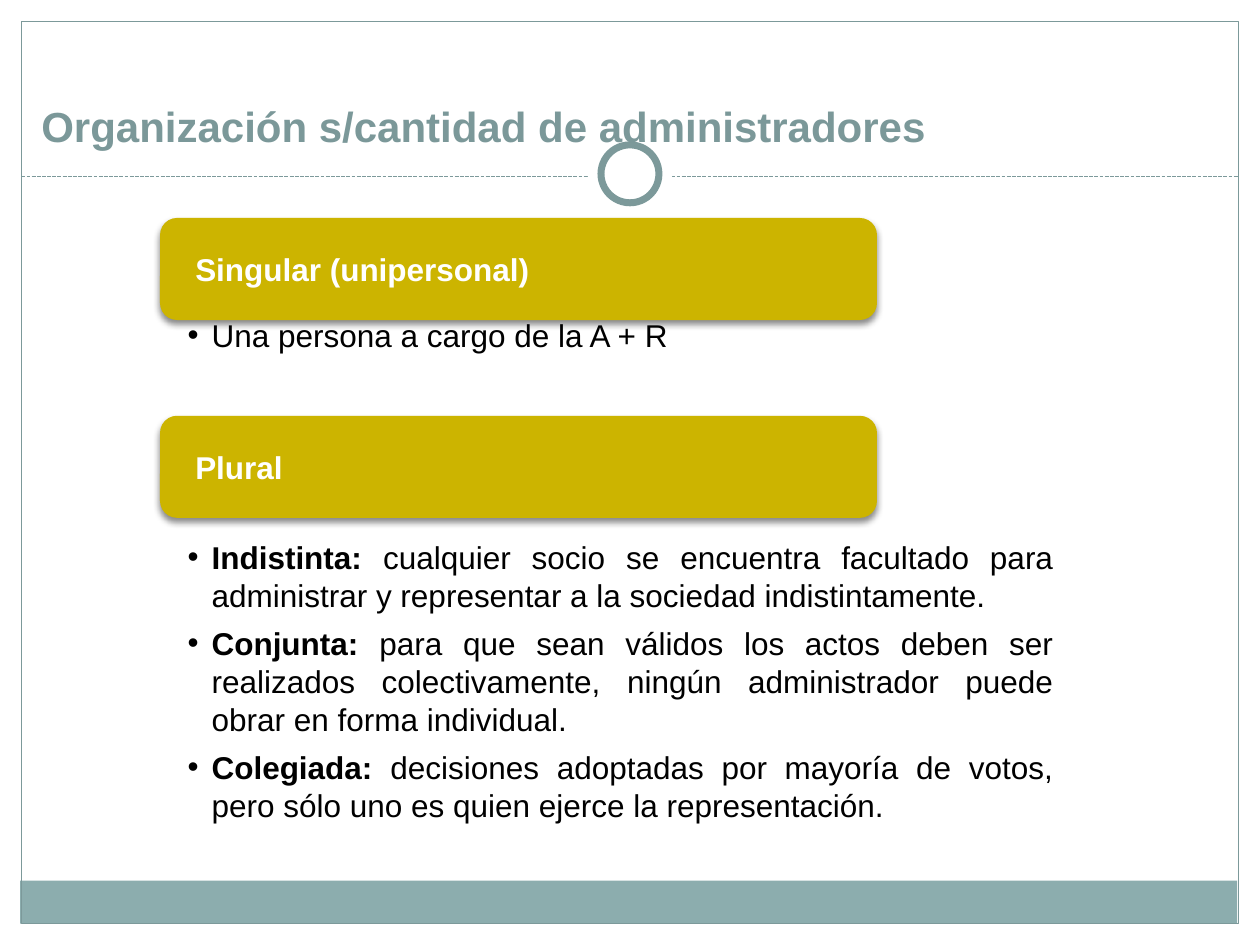
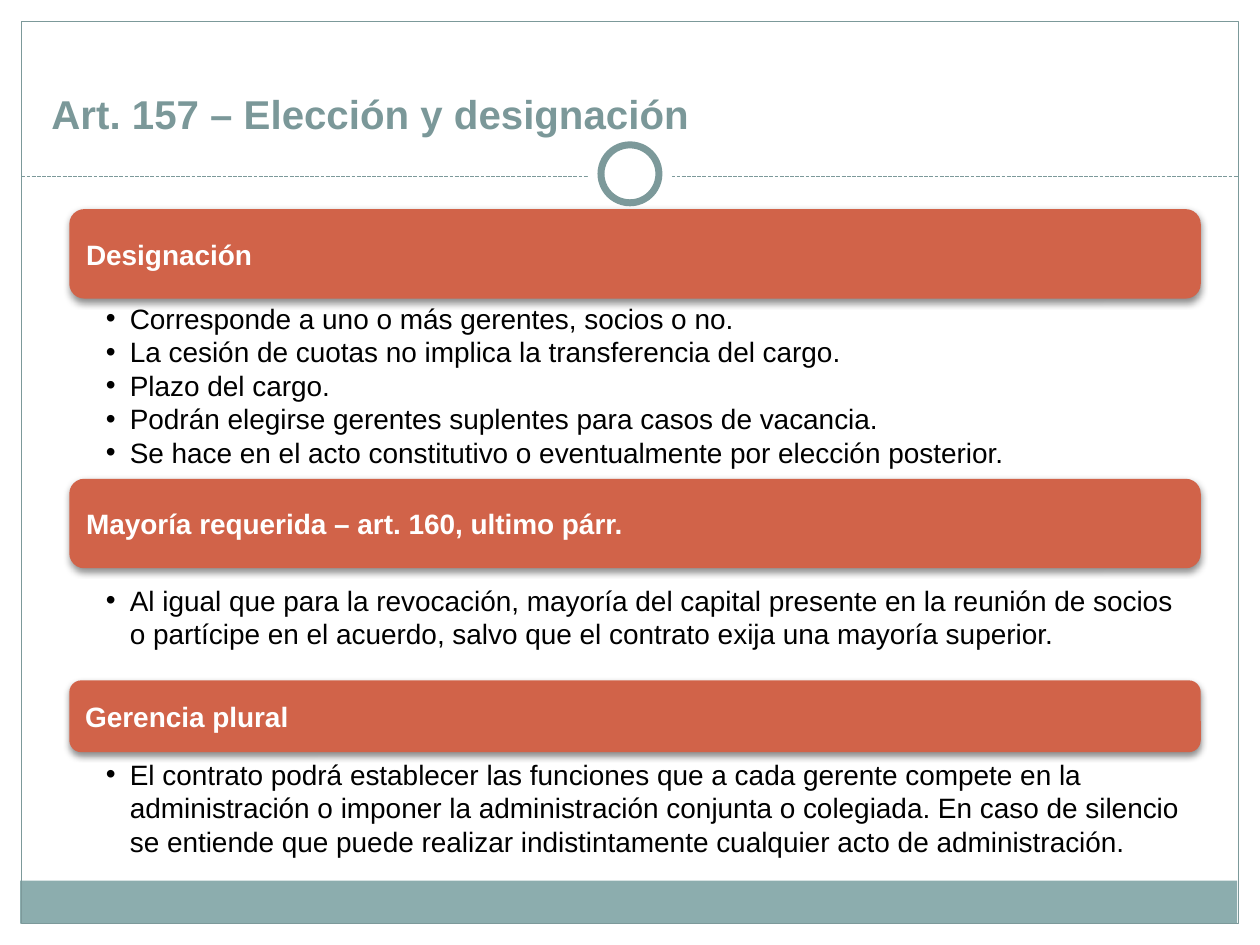
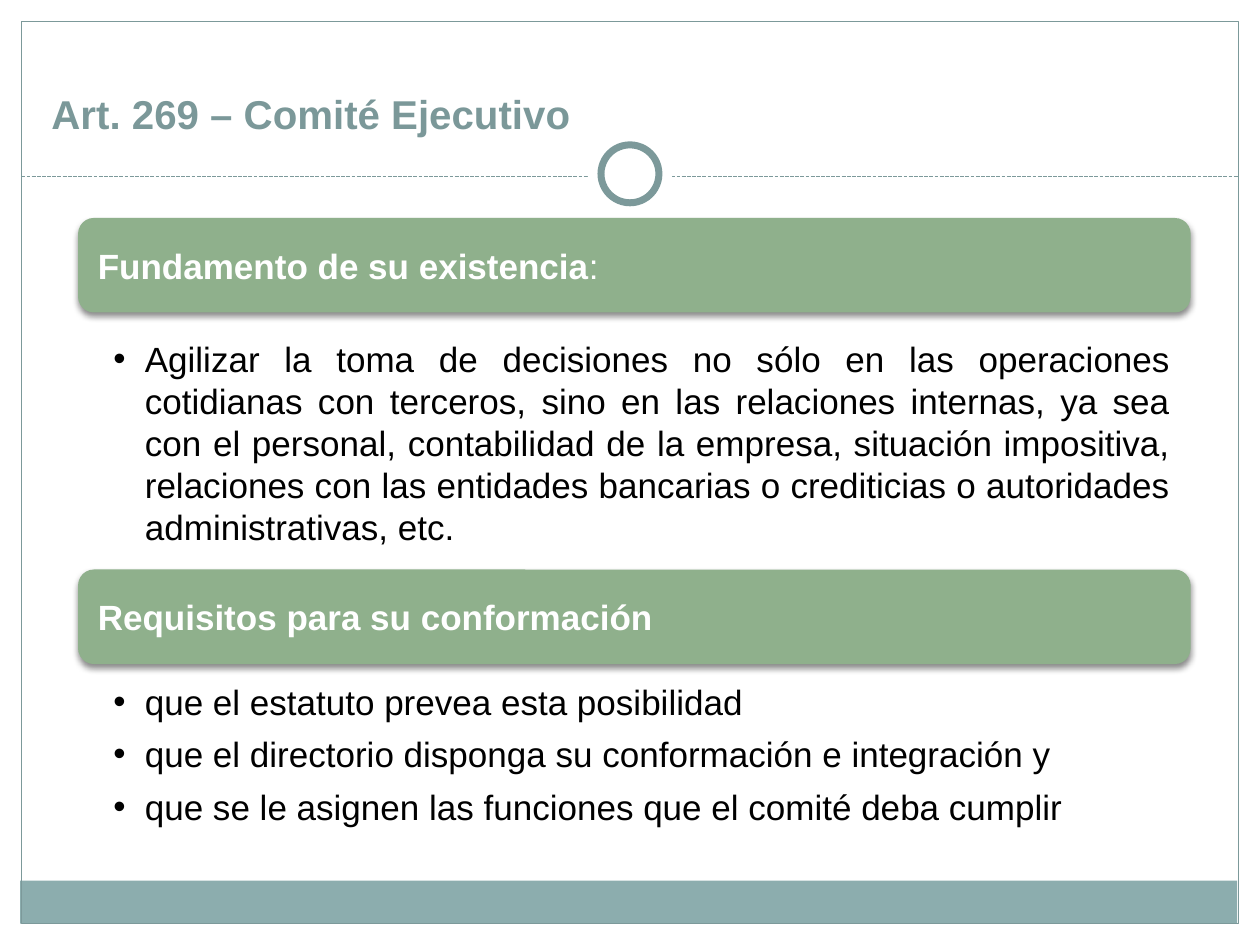
from dataclasses import dataclass

from lxml.etree import SubElement
from pptx import Presentation
from pptx.dml.color import RGBColor
from pptx.enum.dml import MSO_LINE as DASH
from pptx.enum.shapes import MSO_CONNECTOR as CONN, MSO_SHAPE as SHAPE
from pptx.enum.text import MSO_ANCHOR as ANCHOR, PP_ALIGN as ALIGN
from pptx.oxml.ns import qn
from pptx.util import Inches, Pt

WHITE = RGBColor(0xFF, 0xFF, 0xFF)
BLACK = RGBColor(0, 0, 0)
TITLE = RGBColor(0x7B, 0x98, 0x99)
FRAME = RGBColor(0x7C, 0x99, 0x9A)
BAND = RGBColor(0x8C, 0xAD, 0xAE)
GOLD = RGBColor(0xCC, 0xB4, 0x00)
CORAL = RGBColor(0xD1, 0x63, 0x49)
SAGE = RGBColor(0x8F, 0xB0, 0x8C)

FONT = "Arial"
COLS, ROWS = 100, 75
CENTER = COLS / 2
RULE_ROW = 14


@dataclass
class Look:
    color: RGBColor
    size: int
    head_left: float
    head_width: float
    head_inset: float
    body_left: float
    body_width: float
    body_insets: tuple
    indent: float
    align: ALIGN = ALIGN.JUSTIFY
    after: int = 6


class Deck:
    def __init__(self):
        self.prs = Presentation()
        self.prs.slide_width, self.prs.slide_height = Inches(10), Inches(7.5)
        self.s = None

    def x(self, cols):
        return round(self.prs.slide_width * cols / COLS)

    def y(self, rows):
        return round(self.prs.slide_height * rows / ROWS)

    def box(self, left, top, width, height):
        return self.x(left), self.y(top), self.x(width), self.y(height)

    def shape(self, kind, at, fill=None, line=None, weight=0.75):
        sp = self.s.shapes.add_shape(kind, *self.box(*at))
        sp.shadow.inherit = False
        if fill is None:
            sp.fill.background()
        else:
            sp.fill.solid()
            sp.fill.fore_color.rgb = fill
        if line is None:
            sp.line.fill.background()
        else:
            sp.line.color.rgb = line
            sp.line.width = Pt(weight)
        return sp

    def circle(self, size, **style):
        half = size / 2
        self.shape(SHAPE.OVAL, (CENTER - half, 13.8 - half, size, size), **style)

    def rule(self, row):
        ln = self.s.shapes.add_connector(
            CONN.STRAIGHT, self.x(1.7), self.y(row), self.x(COLS - 1.7), self.y(row))
        ln.line.color.rgb = FRAME
        ln.line.width = Pt(0.75)
        ln.line.dash_style = DASH.SQUARE_DOT
        SubElement(ln.element.spPr, qn("a:effectLst"))

    def frame_text(self, sp, insets, anchor):
        tf = sp.text_frame
        tf.word_wrap = True
        tf.vertical_anchor = anchor
        tf.margin_left, tf.margin_top, tf.margin_right, tf.margin_bottom = map(Inches, insets)
        return tf

    def runs(self, p, parts, size, color):
        for text, bold in parts:
            r = p.add_run()
            r.text = text
            r.font.name, r.font.size, r.font.bold = FONT, Pt(size), bold
            r.font.color.rgb = color

    def slide(self, title, size=23, left=3.1, top=3.1):
        self.s = self.prs.slides.add_slide(self.prs.slide_layouts[6])
        self.shape(SHAPE.RECTANGLE, (1.6, 69.9, 96.6, 3.4), fill=BAND)
        self.shape(SHAPE.RECTANGLE, (1.7, 1.7, 96.6, 71.6), line=FRAME)
        self.rule(RULE_ROW)
        self.circle(6.7, fill=WHITE)
        self.circle(4.6, fill=WHITE, line=FRAME, weight=4)
        tb = self.s.shapes.add_textbox(*self.box(left, top, 93.3, 8.3))
        tf = self.frame_text(tb, (0.1, 0.05, 0.1, 0.05), ANCHOR.BOTTOM)
        self.runs(tf.paragraphs[0], [(title, True)], size, TITLE)

    def heading(self, look, top, height, parts):
        sp = self.shape(SHAPE.ROUNDED_RECTANGLE,
                        (look.head_left, top, look.head_width, height), fill=look.color)
        effects = sp.element.spPr.find(qn("a:effectLst"))
        shadow = SubElement(effects, qn("a:outerShdw"), blurRad=str(Pt(4)),
                            dist=str(Pt(2)), dir="5400000", rotWithShape="0")
        black = SubElement(shadow, qn("a:srgbClr"), val="000000")
        SubElement(black, qn("a:alpha"), val="45000")
        inset = look.head_inset
        tf = self.frame_text(sp, (inset, 0, inset, 0), ANCHOR.MIDDLE)
        p = tf.paragraphs[0]
        p.alignment = ALIGN.LEFT
        self.runs(p, parts, look.size, WHITE)

    def bullets(self, look, top, height, items):
        tb = self.s.shapes.add_textbox(
            *self.box(look.body_left, top, look.body_width, height))
        tf = self.frame_text(tb, look.body_insets, ANCHOR.TOP)
        for i, parts in enumerate(items):
            p = tf.add_paragraph() if i else tf.paragraphs[0]
            pPr = p._p.get_or_add_pPr()
            pPr.set("marL", str(Inches(look.indent)))
            pPr.set("indent", str(-Inches(look.indent)))
            SubElement(pPr, qn("a:buFont"), typeface=FONT)
            SubElement(pPr, qn("a:buChar"), char="•")
            p.alignment = look.align
            p.space_after = Pt(look.after)
            self.runs(p, parts, look.size, BLACK)


def plain(*texts):
    return [[(text, False)] for text in texts]


def administrators(deck):
    look = Look(GOLD, 18, 12.7, 56.9, 0.24, 8.6, 81.3, (0.63, 0.57, 0.63, 0.14), 0.19)
    deck.slide("Organización s/cantidad de administradores", 24, 2.3, 4.2)
    deck.bullets(look, 21.4, 10.1, plain("Una persona a cargo de la A + R"))
    deck.heading(look, 17.3, 8.1, [("Singular (unipersonal)", True)])
    kinds = [
        ("Indistinta:", " cualquier socio se encuentra facultado para administrar y "
         "representar a la sociedad indistintamente."),
        ("Conjunta:", " para que sean válidos los actos deben ser realizados "
         "colectivamente, ningún administrador puede obrar en forma individual."),
        ("Colegiada:", " decisiones adoptadas por mayoría de votos, pero sólo uno es "
         "quien ejerce la representación."),
    ]
    deck.bullets(look, 37, 29.3, [[(kind, True), (text, False)] for kind, text in kinds])
    deck.heading(look, 33, 8.1, [("Plural", True)])


def election(deck):
    look = Look(CORAL, 16, 5.5, 89.8, 0.1, 5.5, 89.8, (0.29, 0.02, 0.12, 0.02), 0.19,
                ALIGN.LEFT, 0)
    deck.slide("Art. 157 – Elección y designación")
    sections = [
        ("Designación", 16.6, 7.1, 23.7, 13.5, plain(
            "Corresponde a uno o más gerentes, socios o no.",
            "La cesión de cuotas no implica la transferencia del cargo.",
            "Plazo del cargo.",
            "Podrán elegirse gerentes suplentes para casos de vacancia.",
            "Se hace en el acto constitutivo o eventualmente por elección posterior.")),
        ("Mayoría requerida – art. 160, ultimo párr.", 38, 7.1, 46.1, 9.6, plain(
            "Al igual que para la revocación, mayoría del capital presente en la reunión "
            "de socios o partícipe en el acuerdo, salvo que el contrato exija una mayoría "
            "superior.")),
        ("Gerencia plural", 54, 5.7, 59.9, 9.6, plain(
            "El contrato podrá establecer las funciones que a cada gerente compete en la "
            "administración o imponer la administración conjunta o colegiada. En caso de "
            "silencio se entiende que puede realizar indistintamente cualquier acto de "
            "administración.")),
    ]
    for name, top, height, body_top, body_height, items in sections:
        deck.heading(look, top, height, [(name, True)])
        deck.bullets(look, body_top, body_height, items)


def committee(deck):
    look = Look(SAGE, 20, 6.2, 88.3, 0.12, 6.2, 88.3, (0.28, 0.03, 0.16, 0.03), 0.25)
    deck.slide("Art. 269 – Comité Ejecutivo")
    deck.heading(look, 17.3, 7.5, [("Fundamento de su existencia", True), (":", False)])
    deck.bullets(look, 26.5, 16.6, plain(
        "Agilizar la toma de decisiones no sólo en las operaciones cotidianas con terceros, "
        "sino en las relaciones internas, ya sea con el personal, contabilidad de la "
        "empresa, situación impositiva, relaciones con las entidades bancarias o "
        "crediticias o autoridades administrativas, etc."))
    deck.heading(look, 45.2, 7.5, [("Requisitos para su conformación", True)])
    deck.bullets(look, 53.7, 12.1, plain(
        "que el estatuto prevea esta posibilidad",
        "que el directorio disponga su conformación e integración y",
        "que se le asignen las funciones que el comité deba cumplir"))


def main():
    deck = Deck()
    for build in (administrators, election, committee):
        build(deck)
    deck.prs.save("out.pptx")


if __name__ == "__main__":
    main()
